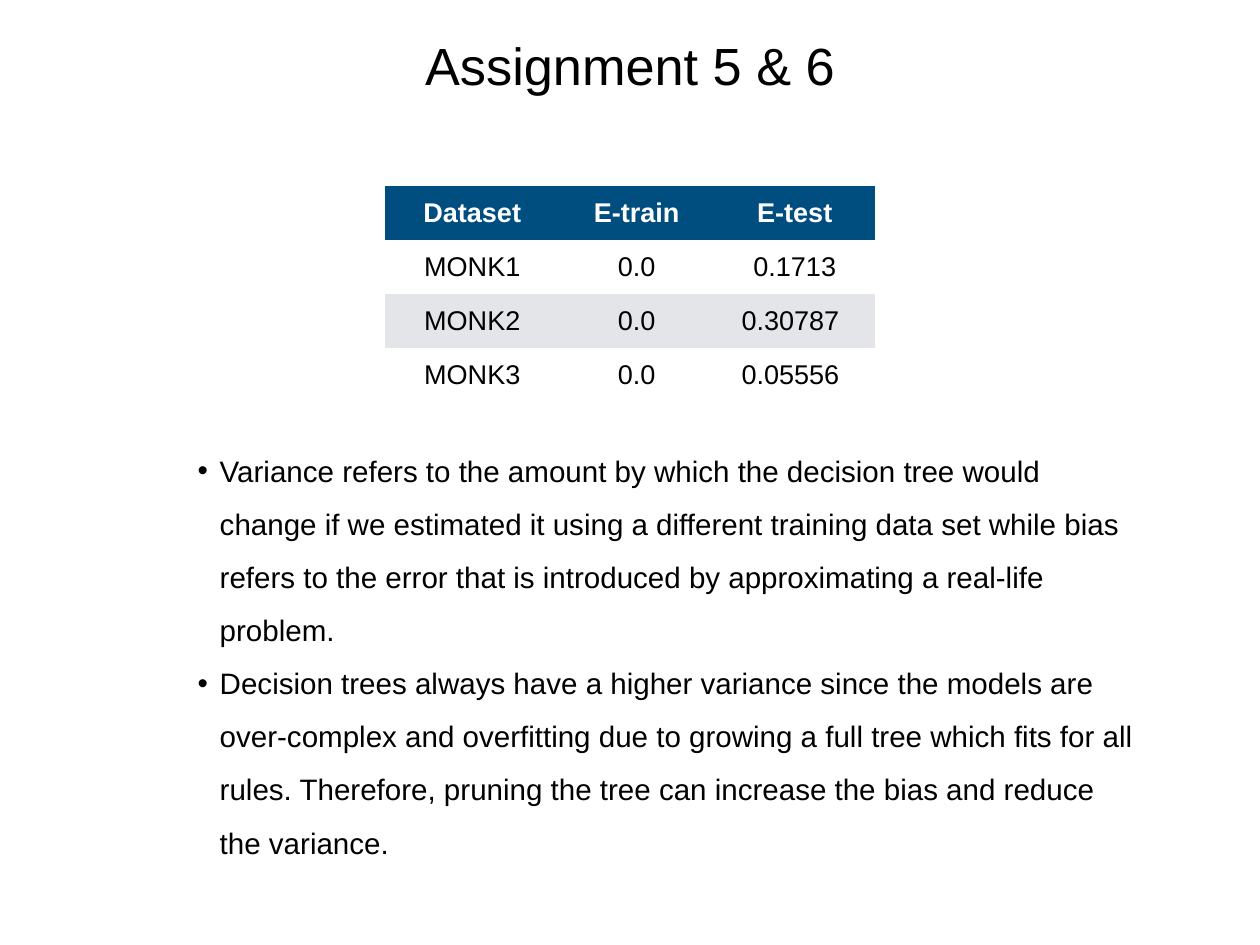
import pptx
import pptx.util
import pptx.dml.color
import pptx.enum.text
from pptx.util import Inches

# Content
TITLE = "Assignment 5 & 6"
RESULTS = [
    ("Dataset", "E-train", "E-test"),
    ("MONK1", "0.0", "0.1713"),
    ("MONK2", "0.0", "0.30787"),
    ("MONK3", "0.0", "0.05556"),
]
BULLETS = [
    "Variance refers to the amount by which the decision tree would change if we "
    "estimated it using a different training data set while bias refers to the error "
    "that is introduced by approximating a real-life problem.",
    "Decision trees always have a higher variance since the models are over-complex "
    "and overfitting due to growing a full tree which fits for all rules. Therefore, "
    "pruning the tree can increase the bias and reduce the variance.",
]

# Style
COLORS = {"text": "000000", "header": "004D80", "header_text": "FFFFFF",
          "row": "FFFFFF", "band": "E3E5E8"}
FONT = "Arial"
INSET = 0.06
COLUMN_WIDTHS = (2.06, 1.65, 1.82)
ROW_HEIGHT = 0.61
NO_GRID_STYLE = "{2D5ABB26-0587-4C30-8999-92F81FD0307C}"
ALIGN = pptx.enum.text.PP_ALIGN
MIDDLE = pptx.enum.text.MSO_ANCHOR.MIDDLE


def rgb(name):
    return pptx.dml.color.RGBColor.from_string(COLORS[name])


def format_runs(p, size, color="text", bold=False):
    for r in p.runs:
        r.font.name = FONT
        r.font.size = pptx.util.Pt(size)
        r.font.bold = bold
        r.font.color.rgb = rgb(color)


def set_insets(box):
    box.margin_left = box.margin_right = Inches(INSET)
    box.margin_top = box.margin_bottom = Inches(INSET)
    box.vertical_anchor = MIDDLE


def place(sp, left, top, width, height):
    sp.left, sp.top = Inches(left), Inches(top)
    sp.width, sp.height = Inches(width), Inches(height)
    tf = sp.text_frame
    tf.word_wrap = True
    tf.auto_size = pptx.enum.text.MSO_AUTO_SIZE.NONE
    set_insets(tf)
    return tf


prs = pptx.Presentation()
prs.slide_width, prs.slide_height = Inches(14.22), Inches(10.67)
s = prs.slides.add_slide(prs.slide_layouts[1])

# Title
tf = place(s.shapes.title, 3.05, 0.29, 8.12, 0.88)
tf.text = TITLE
tf.paragraphs[0].alignment = ALIGN.CENTER
format_runs(tf.paragraphs[0], 42.5)

# Error table
frame = s.shapes.add_table(len(RESULTS), len(COLUMN_WIDTHS), Inches(4.35), Inches(2.1),
                           Inches(sum(COLUMN_WIDTHS)), Inches(ROW_HEIGHT * len(RESULTS)))
table = frame.table
table._tbl.tblPr[0].text = NO_GRID_STYLE
for column, width in zip(table.columns, COLUMN_WIDTHS):
    column.width = Inches(width)
for i, values in enumerate(RESULTS):
    table.rows[i].height = Inches(ROW_HEIGHT)
    fill = "header" if i == 0 else "band" if i % 2 == 0 else "row"
    for j, value in enumerate(values):
        cell = table.cell(i, j)
        set_insets(cell)
        # Text sits slightly left of centre, except the top of the last column
        if j < 2 or i >= 2:
            cell.margin_right = Inches(INSET + 0.1)
        cell.fill.solid()
        cell.fill.fore_color.rgb = rgb(fill)
        cell.text_frame.text = value
        p = cell.text_frame.paragraphs[0]
        p.alignment = ALIGN.CENTER
        format_runs(p, 22, "header_text" if i == 0 else "text", bold=i == 0)

# Bullets
tf = place(s.placeholders[1], 2.17, 4.96, 10.7, 4.7)
tf.text = "\n".join(BULLETS)
for p in tf.paragraphs:
    p.alignment = ALIGN.LEFT
    p.line_spacing = 1.5
    p.space_before = pptx.util.Pt(0)
    pPr = p._p.get_or_add_pPr()
    pPr.set("marL", str(Inches(0.25)))
    pPr.set("indent", str(Inches(-0.25)))
    format_runs(p, 24)

prs.save("out.pptx")
